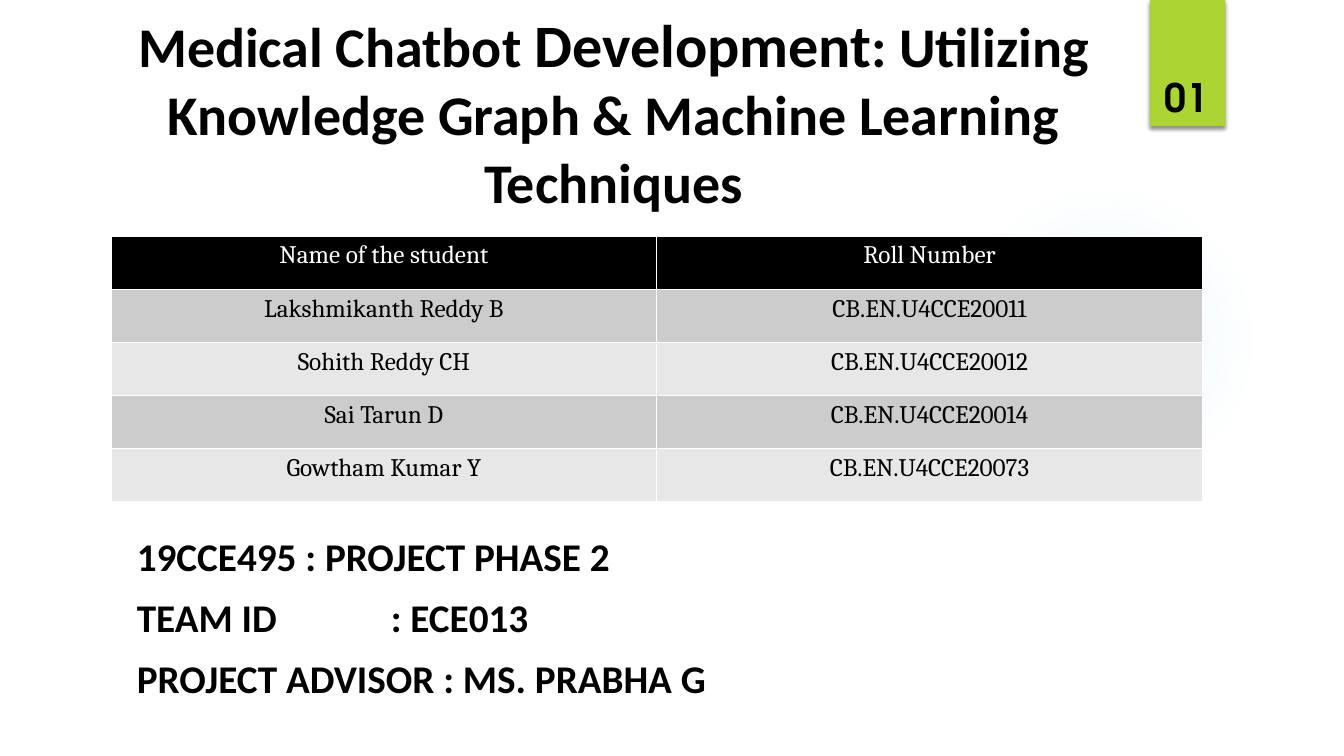
from lxml.etree import SubElement
from pptx import Presentation
from pptx.dml.color import RGBColor
from pptx.enum.shapes import MSO_SHAPE
from pptx.enum.text import MSO_ANCHOR, PP_ALIGN
from pptx.oxml import parse_xml
from pptx.oxml.ns import nsdecls, qn
from pptx.util import Cm, Pt

BLACK = RGBColor(0x00, 0x00, 0x00)
WHITE = RGBColor(0xFF, 0xFF, 0xFF)
GREEN = RGBColor(0xAC, 0xD4, 0x33)
SKY = RGBColor(0x7A, 0xC4, 0xF0)
DARK_BAND = RGBColor(0xCC, 0xCC, 0xCC)
LIGHT_BAND = RGBColor(0xE7, 0xE7, 0xE7)

STUDENTS = [
    ("Name of the student", "Roll Number"),
    ("Lakshmikanth Reddy B", "CB.EN.U4CCE20011"),
    ("Sohith Reddy CH", "CB.EN.U4CCE20012"),
    ("Sai Tarun D", "CB.EN.U4CCE20014"),
    ("Gowtham Kumar Y", "CB.EN.U4CCE20073"),
]
DETAILS = [
    "19CCE495 : PROJECT PHASE 2",
    "TEAM ID\t: ECE013",
    "PROJECT ADVISOR : MS. PRABHA G",
]


def style(r, font, size, color=BLACK, bold=False):
    r.font.name, r.font.size, r.font.bold = font, Pt(size), bold
    r.font.color.rgb = color


def add_text_frame(s, x, y, w, h):
    tf = s.shapes.add_textbox(Cm(x), Cm(y), Cm(w), Cm(h)).text_frame
    tf.word_wrap = True
    return tf


def add_plain_shape(s, kind, x, y, w, h):
    sp = s.shapes.add_shape(kind, Cm(x), Cm(y), Cm(w), Cm(h))
    sp.shadow.inherit = False
    sp.line.fill.background()
    return sp


def add_glow(s, x, y, size):
    """Draw a disc that fades out from its centre."""
    sp = add_plain_shape(s, MSO_SHAPE.OVAL, x, y, size, size)
    stops = "".join(
        f'<a:gs pos="{pos}000"><a:srgbClr val="{SKY}">'
        f'<a:alpha val="{alpha}000"/></a:srgbClr></a:gs>'
        for pos, alpha in ((0, 7), (36, 6), (69, 0)))
    sp.fill.background()
    no_fill = sp.element.spPr.find(qn("a:noFill"))
    no_fill.getparent().replace(no_fill, parse_xml(
        f'<a:gradFill {nsdecls("a")} rotWithShape="1"><a:gsLst>{stops}</a:gsLst>'
        '<a:path path="circle"><a:fillToRect l="50000" t="50000" r="50000" b="50000"/>'
        '</a:path></a:gradFill>'))


def add_page_tab(s, x, y, w, h, number):
    """Draw the green tab with a soft shadow and the page number at its foot."""
    sp = add_plain_shape(s, MSO_SHAPE.RECTANGLE, x, y, w, h)
    sp.fill.solid()
    sp.fill.fore_color.rgb = GREEN
    sp.element.spPr.find(qn("a:effectLst")).append(parse_xml(
        f'<a:outerShdw {nsdecls("a")} blurRad="{Pt(3)}" dist="{Pt(2)}" dir="5400000" '
        f'rotWithShape="0"><a:srgbClr val="{BLACK}"><a:alpha val="45000"/></a:srgbClr>'
        '</a:outerShdw>'))
    tf = add_text_frame(s, x + 0.13, y + h - 1.45, w + 0.03, 1.45)
    tf.text = number
    style(tf.paragraphs[0].runs[0], "TeX Gyre Adventor", 28, bold=True)


def add_title(s, x, y, w, h):
    tf = add_text_frame(s, x, y, w, h)
    tf.margin_top = tf.margin_bottom = 0
    tf.vertical_anchor = MSO_ANCHOR.BOTTOM
    p = tf.paragraphs[0]
    p.alignment = PP_ALIGN.CENTER
    for text, size in (("Medical Chatbot ", 40), ("Development", 43),
                       (": Utilizing Knowledge Graph & Machine Learning Techniques", 40)):
        r = p.add_run()
        r.text = text
        style(r, "Calibri", size, bold=True)


def set_borders(cell):
    tcPr = cell._tc.get_or_add_tcPr()
    for side in ("lnL", "lnR", "lnT", "lnB"):
        ln = SubElement(tcPr, qn(f"a:{side}"), w=str(Pt(1)))
        fill = SubElement(ln, qn("a:solidFill"))
        SubElement(fill, qn("a:srgbClr"), val=str(WHITE))


def add_student_table(s, x, y, w, h):
    table = s.shapes.add_table(len(STUDENTS), len(STUDENTS[0]),
                               Cm(x), Cm(y), Cm(w), Cm(h)).table
    for i, row in enumerate(STUDENTS):
        band = BLACK if i == 0 else DARK_BAND if i % 2 else LIGHT_BAND
        for j, text in enumerate(row):
            cell = table.cell(i, j)
            set_borders(cell)
            cell.fill.solid()
            cell.fill.fore_color.rgb = band
            cell.text = text
            p = cell.text_frame.paragraphs[0]
            p.alignment = PP_ALIGN.CENTER
            style(p.runs[0], "Cambria", 18, WHITE if i == 0 else BLACK)


def add_details(s, x, y, w, h):
    """Write the project lines, with a tab stop for the team number."""
    tf = add_text_frame(s, x, y, w, h)
    for i, text in enumerate(DETAILS):
        p = tf.add_paragraph() if i else tf.paragraphs[0]
        p.text = text
        if "\t" in text:
            tabs = SubElement(p._p.get_or_add_pPr(), qn("a:tabLst"))
            SubElement(tabs, qn("a:tab"), pos=str(Cm(6.4)), algn="l")
        if i:
            p.space_before = Pt(10)
        for r in p.runs:
            style(r, "Calibri", 28, bold=True)


def main():
    prs = Presentation()
    prs.slide_width, prs.slide_height = Cm(33.87), Cm(19.05)
    s = prs.slides.add_slide(prs.slide_layouts[6])
    add_glow(s, 23.9, 4.65, 7.82)
    add_page_tab(s, 28.98, 0, 1.9, 3.18, "01")
    add_title(s, 2.62, 0.1, 25.68, 5.3)
    add_student_table(s, 2.8, 5.95, 27.5, 6.7)
    add_details(s, 3.2, 13.28, 24.5, 4.8)
    prs.save("out.pptx")


if __name__ == "__main__":
    main()
